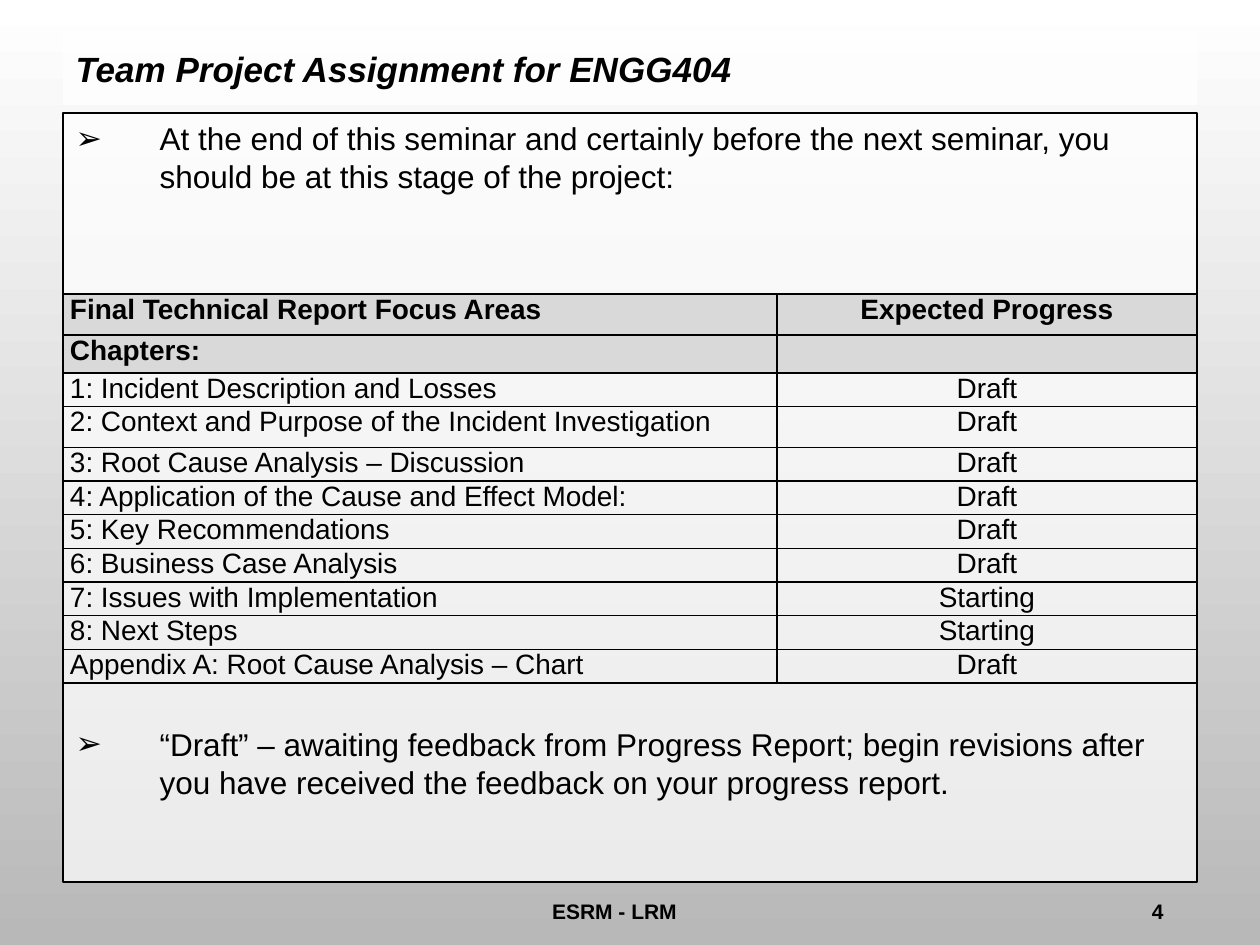
from dataclasses import dataclass

from lxml import etree
from pptx import Presentation
from pptx.dml.color import RGBColor
from pptx.enum.text import MSO_ANCHOR, MSO_AUTO_SIZE, PP_ALIGN
from pptx.oxml.ns import qn
from pptx.util import Emu, Pt

LEFT, CENTER, RIGHT = PP_ALIGN.LEFT, PP_ALIGN.CENTER, PP_ALIGN.RIGHT
TOP, MIDDLE = MSO_ANCHOR.TOP, MSO_ANCHOR.MIDDLE
NO_AUTOFIT = MSO_AUTO_SIZE.NONE

TITLE = "Team Project Assignment for ENGG404"
BULLETS = [
    ("At the end of this seminar and certainly before the next seminar, you "
     "should be at this stage of the project:", 0),
    ("“Draft” – awaiting feedback from Progress Report; begin revisions after "
     "you have received the feedback on your progress report.", 303),
]
HEADER_ROWS = 2
PROGRESS = [
    ("Final Technical Report Focus Areas", "Expected Progress"),
    ("Chapters:", ""),
    ("1: Incident Description and Losses", "Draft"),
    ("2: Context and Purpose of the Incident Investigation", "Draft"),
    ("3: Root Cause Analysis – Discussion", "Draft"),
    ("4: Application of the Cause and Effect Model:", "Draft"),
    ("5: Key Recommendations", "Draft"),
    ("6: Business Case Analysis", "Draft"),
    ("7: Issues with Implementation", "Starting"),
    ("8: Next Steps", "Starting"),
    ("Appendix A: Root Cause Analysis – Chart", "Draft"),
]
FOOTERS = [
    ("ESRM - LRM", (347, 892, 535, 32), CENTER),
    ("4", (1050, 892, 126, 32), RIGHT),
]
TITLE_AREA = (63, 32, 1134, 73)
BODY_AREA = (63, 113, 1134, 769)
TABLE_LEFT, TABLE_TOP = 63, 294
COLUMN_WIDTHS = (714, 420)
ROW_HEIGHT, TALL_ROW_HEIGHT = 31, 41
TALL_ROWS = (0, 3)
CELL_MARGIN = 7
BULLET_INDENT = 84


@dataclass(frozen=True)
class Theme:
    font: str = "Arial"
    ink: str = "000000"
    panel: str = "FFFFFF"
    panel_opacity: int = 70
    header: str = "D9D9D9"
    shade: str = "B8B8B8"
    title_size: int = 20
    body_size: int = 18
    table_size: int = 16
    footer_size: int = 12


THEME = Theme()


def px(length):
    return Emu(round(length * 914400 / 126))


def color(value):
    return RGBColor.from_string(value)


def write(paragraph, text, size, bold=False, italic=False, align=LEFT, before=0, after=0):
    paragraph.alignment = align
    paragraph.space_before = Pt(before)
    paragraph.space_after = Pt(after)
    span = paragraph.add_run()
    span.text = text
    font = span.font
    font.name, font.size = THEME.font, Pt(size)
    font.bold, font.italic = bold, italic
    font.color.rgb = color(THEME.ink)


def place(box, area):
    box.left, box.top, box.width, box.height = map(px, area)


def fill_panel(box):
    box.fill.solid()
    box.fill.fore_color.rgb = color(THEME.panel)
    tint = box.fill._xPr.find(".//" + qn("a:srgbClr"))
    etree.SubElement(tint, qn("a:alpha"), val=str(THEME.panel_opacity * 1000))


def add_bullet(paragraph):
    properties = paragraph._p.get_or_add_pPr()
    properties.set("marL", str(px(BULLET_INDENT)))
    properties.set("indent", str(-px(BULLET_INDENT)))
    tint = etree.SubElement(properties, qn("a:buClr"))
    etree.SubElement(tint, qn("a:srgbClr"), val=THEME.ink)
    etree.SubElement(properties, qn("a:buFont"), typeface=THEME.font)
    etree.SubElement(properties, qn("a:buChar"), char="➢")


def add_borders(cell):
    properties = cell._tc.get_or_add_tcPr()
    for index, side in enumerate(("lnL", "lnR", "lnT", "lnB")):
        line = etree.Element(qn("a:" + side), w=str(Pt(1)))
        fill = etree.SubElement(line, qn("a:solidFill"))
        etree.SubElement(fill, qn("a:srgbClr"), val=THEME.ink)
        properties.insert(index, line)


def paint_background(page):
    fill = page.background.fill
    fill.gradient()
    fill.gradient_angle = 270
    for stop, value in zip(fill.gradient_stops, (THEME.panel, THEME.shade)):
        stop.color.rgb = color(value)


def fill_body(body):
    place(body, BODY_AREA)
    fill_panel(body)
    body.line.color.rgb = color(THEME.ink)
    body.line.width = Pt(0.75)
    frame = body.text_frame
    frame.auto_size, frame.vertical_anchor = NO_AUTOFIT, TOP
    for index, (text, before) in enumerate(BULLETS):
        paragraph = frame.add_paragraph() if index else frame.paragraphs[0]
        add_bullet(paragraph)
        write(paragraph, text, THEME.body_size, before=before)


def fill_title(title):
    place(title, TITLE_AREA)
    fill_panel(title)
    frame = title.text_frame
    frame.auto_size, frame.vertical_anchor = NO_AUTOFIT, MIDDLE
    write(frame.paragraphs[0], TITLE, THEME.title_size, bold=True, italic=True)


def add_footer(page, text, area, align):
    box = page.shapes.add_textbox(*map(px, area))
    box.text_frame.word_wrap = True
    write(box.text_frame.paragraphs[0], text, THEME.footer_size, bold=True, align=align)


def add_progress_table(page):
    heights = [TALL_ROW_HEIGHT if index in TALL_ROWS else ROW_HEIGHT
               for index in range(len(PROGRESS))]
    area = (TABLE_LEFT, TABLE_TOP, sum(COLUMN_WIDTHS), sum(heights))
    table = page.shapes.add_table(len(PROGRESS), len(COLUMN_WIDTHS), *map(px, area)).table
    table.first_row = table.horz_banding = False
    for column, width in zip(table.columns, COLUMN_WIDTHS):
        column.width = px(width)
    for index, (row, height, texts) in enumerate(zip(table.rows, heights, PROGRESS)):
        row.height = px(height)
        is_header = index < HEADER_ROWS
        for cell, text, align in zip(row.cells, texts, (LEFT, CENTER)):
            cell.margin_left = cell.margin_right = px(CELL_MARGIN)
            cell.margin_top = cell.margin_bottom = 0
            if is_header:
                cell.fill.solid()
                cell.fill.fore_color.rgb = color(THEME.header)
            else:
                cell.fill.background()
            add_borders(cell)
            write(cell.text_frame.paragraphs[0], text, THEME.table_size,
                  bold=is_header, align=align, after=6)


def main():
    deck = Presentation()
    deck.slide_width, deck.slide_height = px(1260), px(945)
    page = deck.slides.add_slide(deck.slide_layouts[1])
    paint_background(page)
    fill_title(page.shapes.title)
    fill_body(page.placeholders[1])
    for text, area, align in FOOTERS:
        add_footer(page, text, area, align)
    add_progress_table(page)
    deck.save("out.pptx")


if __name__ == "__main__":
    main()
